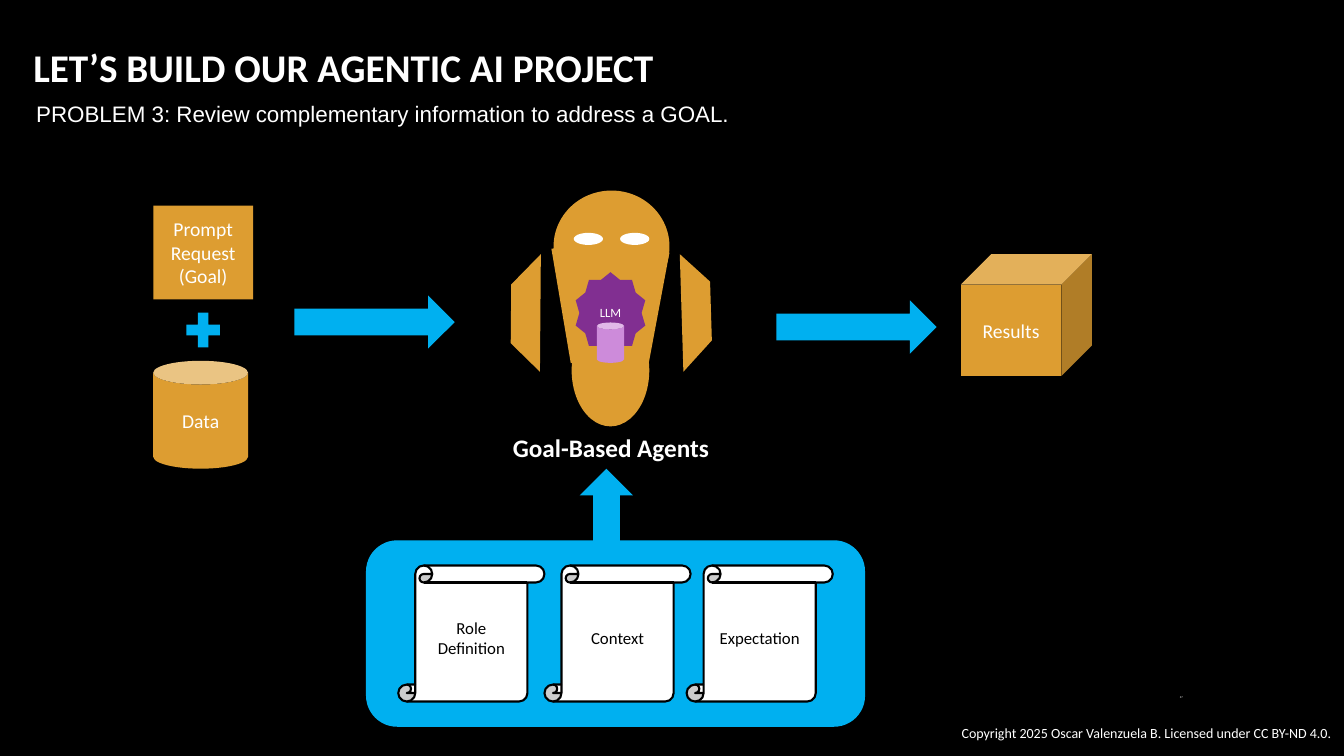
from dataclasses import dataclass
from typing import Optional

from pptx import Presentation
from pptx.dml.color import RGBColor
from pptx.enum.shapes import MSO_SHAPE as Form
from pptx.enum.text import MSO_ANCHOR, MSO_AUTO_SIZE, PP_ALIGN
from pptx.shapes.autoshape import Shape
from pptx.shapes.shapetree import _BaseGroupShapes as Tree
from pptx.text.text import TextFrame
from pptx.util import Inches, Pt

BLACK, WHITE = "000000", "FFFFFF"
GOLD, BLUE = "DD9D31", "00B0F0"
PURPLE, PINK = "812F91", "CD8BDA"


@dataclass
class Part:
    form: Form
    left: float
    top: float
    width: float
    height: float
    fill: str
    turn: float = 0
    text: str = ""
    size: float = 14
    ink: str = WHITE
    line: Optional[str] = None


@dataclass
class Label:
    text: str
    left: float
    top: float
    width: float
    height: float
    size: float
    align: PP_ALIGN = PP_ALIGN.LEFT
    font: str = "Calibri"
    bold: bool = False
    inset: tuple[float, float] = (0.1, 0.05)
    anchor: MSO_ANCHOR = MSO_ANCHOR.TOP
    wrap: bool = True
    grow: bool = True


def shade(code: str) -> RGBColor:
    return RGBColor.from_string(code)


def write(frame: TextFrame, text: str, size: float, ink: str,
          align: PP_ALIGN, font: str = "Calibri", bold: bool = False) -> None:
    for i, words in enumerate(text.split("\n")):
        para = frame.add_paragraph() if i else frame.paragraphs[0]
        para.alignment = align
        run = para.add_run()
        run.text = words
        run.font.name, run.font.size, run.font.bold = font, Pt(size), bold
        run.font.color.rgb = shade(ink)


def draw(tree: Tree, part: Part) -> None:
    shape = tree.add_shape(part.form, Inches(part.left), Inches(part.top),
                           Inches(part.width), Inches(part.height))
    shape.rotation = part.turn
    shape.shadow.inherit = False
    shape.fill.solid()
    shape.fill.fore_color.rgb = shade(part.fill)
    if part.line:
        shape.line.color.rgb = shade(part.line)
        shape.line.width = Pt(1.5)
    else:
        shape.line.fill.background()
    if part.text:
        frame = shape.text_frame
        frame.word_wrap = True
        frame.vertical_anchor = MSO_ANCHOR.MIDDLE
        write(frame, part.text, part.size, part.ink, PP_ALIGN.CENTER)


def place(box: Shape, label: Label) -> None:
    box.left, box.top = Inches(label.left), Inches(label.top)
    box.width, box.height = Inches(label.width), Inches(label.height)
    frame = box.text_frame
    frame.word_wrap = label.wrap
    frame.auto_size = (MSO_AUTO_SIZE.SHAPE_TO_FIT_TEXT if label.grow
                       else MSO_AUTO_SIZE.NONE)
    frame.vertical_anchor = label.anchor
    side, edge = label.inset
    frame.margin_left, frame.margin_right = Inches(side), Inches(0.1)
    frame.margin_top = frame.margin_bottom = Inches(edge)
    write(frame, label.text, label.size, WHITE, label.align, label.font,
          label.bold)


TITLE = Label("LET’S BUILD OUR AGENTIC AI PROJECT", 0.33, 0.27, 12.67, 0.79,
              28, bold=True, inset=(0, 0.16), grow=False)

LABELS = [
    Label("37", 11.23, 6.71, 0.6, 0.41, 2, PP_ALIGN.RIGHT,
          anchor=MSO_ANCHOR.MIDDLE, grow=False),
    Label("Goal-Based Agents", 4.34, 4.24, 3.44, 0.4, 18, PP_ALIGN.CENTER,
          bold=True),
    Label("Copyright 2025 Oscar Valenzuela B. Licensed under CC BY-ND 4.0. ",
          0, 7.14, 13.33, 0.27, 10, PP_ALIGN.RIGHT),
    Label("PROBLEM 3: Review complementary information to address a GOAL.",
          0.36, 0.94, 7, 0.37, 16, font="Arial", inset=(0, 0.05), wrap=False),
]

AGENT = [
    Part(Form.RECTANGLE, 5.56, 2.4, 0.72, 1.15, GOLD, 350.4),
    Part(Form.OVAL, 5.49, 1.89, 1.15, 1.11, GOLD),
    Part(Form.RECTANGLE, 5.82, 2.43, 0.72, 1.15, GOLD, 10.6),
    Part(Form.DIAGONAL_STRIPE, 4.94, 2.7, 0.84, 0.81, GOLD, 314.4),
    Part(Form.DIAGONAL_STRIPE, 6.34, 2.7, 0.84, 0.81, GOLD, 132.2),
    Part(Form.OVAL, 5.67, 3.12, 0.77, 1.11, GOLD),
    *(Part(Form.OVAL, x, 2.31, 0.29, 0.12, WHITE) for x in (5.69, 6.15)),
    Part(Form.STAR_10_POINT, 5.71, 2.7, 0.69, 0.81, PURPLE, text="LLM",
         size=9),
    Part(Form.CAN, 5.92, 3.2, 0.27, 0.4, PINK),
]

SCROLLS = [(3.95, "Role Definition"), (5.4, "Context"), (6.81, "Expectation")]
BRIEF = [
    Part(Form.ROUNDED_RECTANGLE, 5.18, 3.81, 1.85, 4.95, BLUE, 270),
    *(Part(Form.VERTICAL_SCROLL, x, 5.61, 1.45, 1.35, WHITE, text=name,
           size=12, ink=BLACK, line=BLACK) for x, name in SCROLLS),
]

FLOW = [
    Part(Form.RIGHT_ARROW, 5.65, 4.75, 0.73, 0.53, BLUE, 270),
    Part(Form.RIGHT_ARROW, 2.92, 2.93, 1.59, 0.53, BLUE),
    Part(Form.RECTANGLE, 1.52, 2.04, 0.99, 0.93, GOLD,
         text="Prompt Request\n(Goal)"),
    Part(Form.CAN, 1.52, 3.58, 0.94, 1.07, GOLD, text="Data"),
    Part(Form.MATH_PLUS, 1.79, 3.04, 0.45, 0.47, BLUE),
    Part(Form.RIGHT_ARROW, 7.7, 2.98, 1.59, 0.53, BLUE),
    Part(Form.CUBE, 9.53, 2.52, 1.3, 1.21, GOLD, text="Results"),
]


def main() -> None:
    deck = Presentation()
    deck.slide_width, deck.slide_height = Inches(13.33), Inches(7.5)
    slide = deck.slides.add_slide(deck.slide_layouts[5])
    slide.background.fill.solid()
    slide.background.fill.fore_color.rgb = shade(BLACK)

    # Title and labels
    place(slide.shapes.title, TITLE)
    for label in LABELS:
        place(slide.shapes.add_textbox(0, 0, 0, 0), label)

    # Agent figure and its brief, each one group
    for parts in (AGENT, BRIEF):
        group = slide.shapes.add_group_shape()
        for part in parts:
            draw(group.shapes, part)

    # Flow from prompt to results
    for part in FLOW:
        draw(slide.shapes, part)

    deck.save("out.pptx")


if __name__ == "__main__":
    main()
